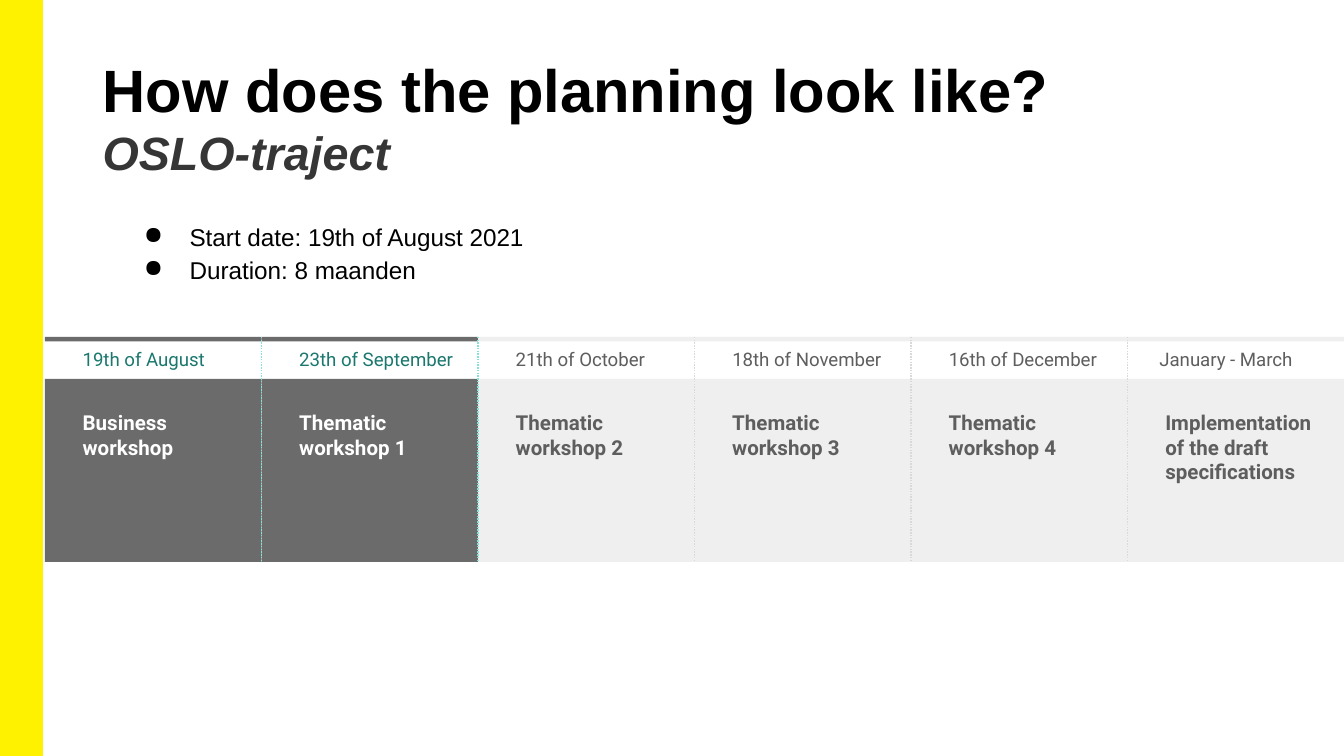
from lxml.etree import SubElement
from pptx import Presentation
from pptx.dml.color import RGBColor
from pptx.enum.dml import MSO_LINE
from pptx.enum.shapes import MSO_CONNECTOR, MSO_SHAPE
from pptx.oxml.ns import qn
from pptx.util import Pt

COLORS = {
    "yellow": "FFF200", "black": "000000", "sub": "373636",
    "dark": "6B6B6B", "light": "EFEFEF", "white": "FFFFFF",
    "text": "5E5E5E", "teal": "1B786E", "mint": "83E3D9", "rule": "D9D9D9",
}
STEPS = [
    ("19th of August", "Business workshop"),
    ("23th of September", "Thematic workshop 1"),
    ("21th of October", "Thematic workshop 2"),
    ("18th of November", "Thematic workshop 3"),
    ("16th of December", "Thematic workshop 4"),
    ("January - March", "Implementation of the draft specifications"),
]
DONE = 2
LEFT, STEP = 24, 116
TOP, BODY, END = 180.5, 203, 301


def color(name):
    return RGBColor.from_string(COLORS[name])


def add_bar(slide, x, y, w, h, fill):
    bar = slide.shapes.add_shape(MSO_SHAPE.RECTANGLE, Pt(x), Pt(y), Pt(w), Pt(h))
    bar.shadow.inherit = False
    bar.fill.solid()
    bar.fill.fore_color.rgb = color(fill)
    bar.line.fill.background()
    return bar


def add_text(slide, x, y, w, h, lines, inset=(7.2, 7.2)):
    frame = slide.shapes.add_textbox(Pt(x), Pt(y), Pt(w), Pt(h)).text_frame
    frame.word_wrap = True
    frame.margin_left = frame.margin_right = Pt(inset[0])
    frame.margin_top = frame.margin_bottom = Pt(inset[1])
    frame.text = "\n".join(lines)
    return frame.paragraphs


def set_font(para, size, tint, face="Arial", bold=False, italic=False):
    for run in para.runs:
        font = run.font
        font.name, font.size = face, Pt(size)
        font.bold, font.italic = bold, italic
        font.color.rgb = color(tint)


def add_bullet(para):
    props = para._p.get_or_add_pPr()
    props.set("marL", str(Pt(36)))
    props.set("indent", str(Pt(-24.5)))
    tint = SubElement(props, qn("a:buClr"))
    SubElement(tint, qn("a:srgbClr"), val=COLORS["black"])
    SubElement(props, qn("a:buChar"), char="●")


def add_rule(slide, x, tint):
    rule = slide.shapes.add_connector(
        MSO_CONNECTOR.STRAIGHT, Pt(x), Pt(TOP), Pt(x), Pt(END))
    rule.line.width = Pt(0.75)
    rule.line.color.rgb = color(tint)
    rule.line.dash_style = MSO_LINE.ROUND_DOT
    SubElement(rule._element.spPr, qn("a:effectLst"))


def add_step(slide, i, date, title):
    x = LEFT + i * STEP
    done, last = i < DONE, i == len(STEPS) - 1
    fill = "dark" if done else "light"
    add_bar(slide, x, BODY, STEP, END - BODY, fill)
    add_bar(slide, x, TOP, STEP, 2.5, fill)
    if not last:
        add_rule(slide, x + STEP, "mint" if done else "rule")
    name = add_text(slide, x + 13.2, 212.5, 100 if last else 89, 29, [title])[0]
    set_font(name, 11, "white" if done else "text", "Roboto", bold=True)
    when = add_text(slide, x + (10 if last else 13.2), TOP, 104, 11, [date])[0]
    when.line_spacing = 1.15
    when.space_after = Pt(16)
    set_font(when, 10, "teal" if done else "text", "Roboto")


def main():
    deck = Presentation()
    deck.slide_width, deck.slide_height = Pt(720), Pt(405)
    slide = deck.slides.add_slide(deck.slide_layouts[6])

    edge = add_bar(slide, 0, 0, 22.5, 405, "yellow")
    edge.line.color.rgb = color("yellow")
    edge.line.width = Pt(1)

    head, sub = add_text(
        slide, 50, 21.6, 620, 58,
        ["How does the planning look like?", "OSLO-traject"], (5, 6.5))
    set_font(head, 32, "black", bold=True)
    set_font(sub, 25, "sub", bold=True, italic=True)

    facts = ["Start date: 19th of August 2021", "Duration: 8 maanden"]
    for para in add_text(slide, 58.5, 109.5, 589, 51, facts):
        add_bullet(para)
        para.line_spacing = 1.15
        set_font(para, 13, "black")

    for i, (date, title) in reversed(list(enumerate(STEPS))):
        add_step(slide, i, date, title)
    deck.save("out.pptx")


if __name__ == "__main__":
    main()
